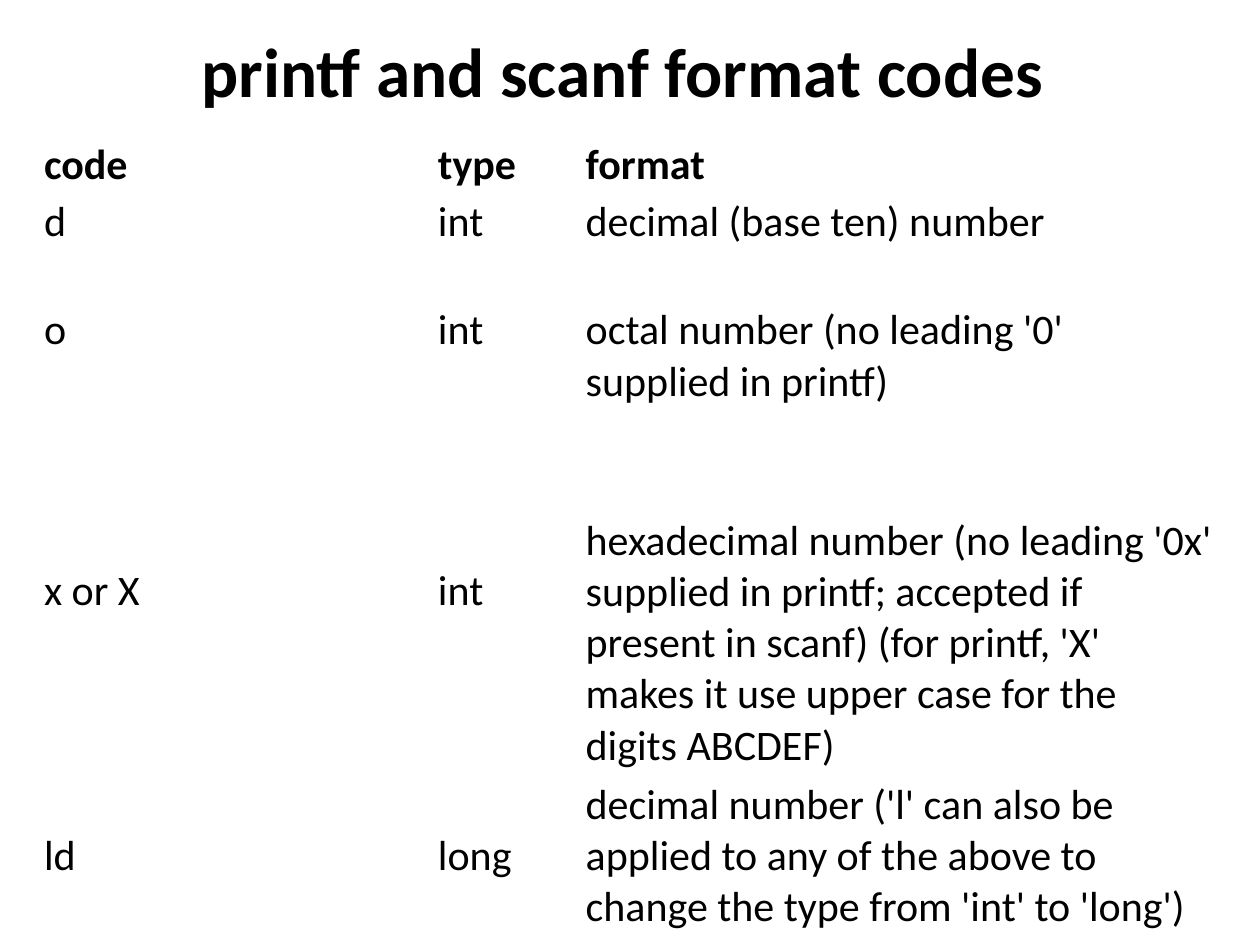
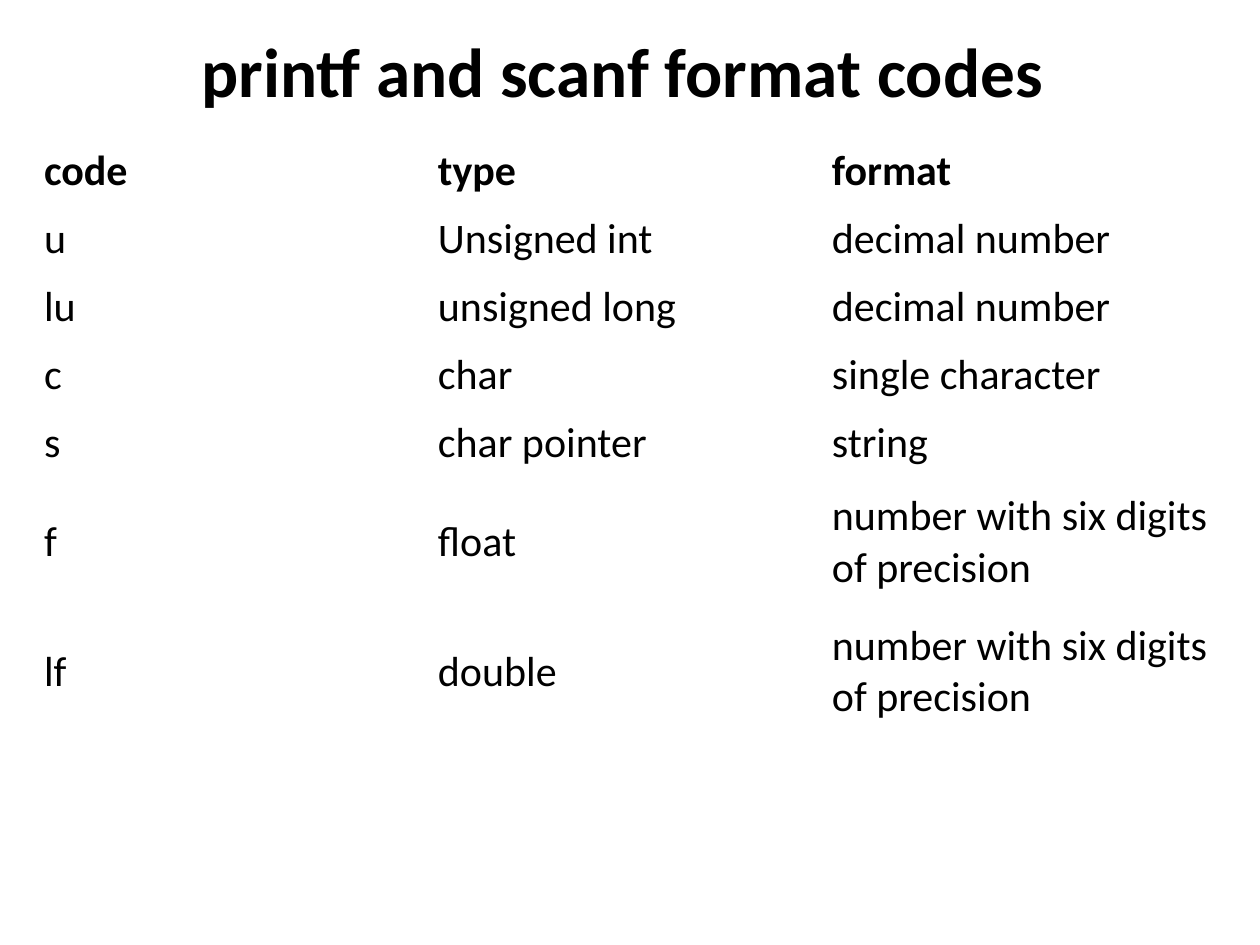
from dataclasses import dataclass

import pptx
import pptx.dml.color
import pptx.enum.text
import pptx.util

Inches = pptx.util.Inches


@dataclass(frozen=True)
class Theme:
    """Colours, type sizes and spacing shared by the slides."""
    font: str = "Calibri"
    ink: str = "000000"
    paper: str = "FFFFFF"
    title_size: float = 39.6
    table_size: float = 24
    line_height: float = 0.41
    side_margin: float = 0.04
    edge_margin: float = 0.02


@dataclass(frozen=True)
class Box:
    """A region of the slide in inches."""
    left: float
    top: float
    width: float
    height: float


THEME = Theme()
TITLE = "printf and scanf format codes"
TITLE_BOX = Box(0.19, 0.16, 9.5, 0.78)
TABLE_LEFT, TABLE_TOP, TABLE_WIDTH = 0.31, 1.09, 9.38
GRID_COLUMNS = 24
HEADER = ("code", "type", "format")

INTEGER_CODES = [
    HEADER,
    ("d", "int", "decimal (base ten) number"),
    ("o", "int", "octal number (no leading '0' supplied in printf)"),
    ("x or X", "int",
     "hexadecimal number (no leading '0x' supplied in printf; accepted if "
     "present in scanf) (for printf, 'X' makes it use upper case for the "
     "digits ABCDEF)"),
    ("ld", "long",
     "decimal number ('l' can also be applied to any of the above to change "
     "the type from 'int' to 'long')"),
]
OTHER_CODES = [
    HEADER,
    ("u", "Unsigned int", "decimal number"),
    ("lu", "unsigned long", "decimal number"),
    ("c", "char", "single character"),
    ("s", "char pointer", "string"),
    ("f", "float", "number with six digits of precision"),
    ("lf", "double", "number with six digits of precision"),
]


def style_text(para, size, bold):
    """Apply the theme font to every run of a paragraph."""
    for span in para.runs:
        span.font.name = THEME.font
        span.font.size = pptx.util.Pt(size)
        span.font.bold = bold
        span.font.color.rgb = pptx.dml.color.RGBColor.from_string(THEME.ink)


def add_title(page, box):
    """Place the centred slide title in its box."""
    shape = page.shapes.add_textbox(
        Inches(box.left), Inches(box.top), Inches(box.width), Inches(box.height))
    frame = shape.text_frame
    frame.word_wrap = True
    frame.vertical_anchor = pptx.enum.text.MSO_ANCHOR.MIDDLE
    frame.text = TITLE
    para = frame.paragraphs[0]
    para.alignment = pptx.enum.text.PP_ALIGN.CENTER
    style_text(para, THEME.title_size, True)


def fill_cell(cell, text, bold, lines_above):
    """Write one table cell, lowered by a number of text lines."""
    cell.fill.background()
    cell.vertical_anchor = pptx.enum.text.MSO_ANCHOR.MIDDLE
    cell.margin_left = cell.margin_right = Inches(THEME.side_margin)
    cell.margin_top = Inches(THEME.edge_margin + lines_above * THEME.line_height)
    cell.margin_bottom = Inches(THEME.edge_margin)
    cell.text_frame.text = text
    style_text(cell.text_frame.paragraphs[0], THEME.table_size, bold)


def add_code_table(page, box, rows, column_spans, row_heights, lines_above):
    """Place a plain table of format codes in its box."""
    table = page.shapes.add_table(
        len(rows), len(column_spans), Inches(box.left), Inches(box.top),
        Inches(box.width), Inches(box.height)).table
    table.first_row = table.horz_banding = False
    for column, span in zip(table.columns, column_spans):
        column.width = Inches(box.width * span / GRID_COLUMNS)
    for row, height in zip(table.rows, row_heights):
        row.height = Inches(height)
    for row_index, texts in enumerate(rows):
        for column_index, text in enumerate(texts):
            is_format = column_index == len(HEADER) - 1
            lowered = lines_above.get(row_index, 0) if is_format else 0
            fill_cell(table.cell(row_index, column_index), text,
                      row_index == 0, lowered)


def add_code_slide(deck, rows, column_spans, row_heights, lines_above):
    """Add a slide with the shared title and one table of codes."""
    page = deck.slides.add_slide(deck.slide_layouts[6])
    page.background.fill.solid()
    page.background.fill.fore_color.rgb = pptx.dml.color.RGBColor.from_string(
        THEME.paper)
    add_title(page, TITLE_BOX)
    box = Box(TABLE_LEFT, TABLE_TOP, TABLE_WIDTH, sum(row_heights))
    add_code_table(page, box, rows, column_spans, row_heights, lines_above)


def main():
    """Build and save the deck."""
    deck = pptx.Presentation()
    deck.slide_width, deck.slide_height = Inches(10), Inches(7.5)
    add_code_slide(deck, INTEGER_CODES, (8, 3, 13),
                   (0.45, 0.45, 1.26, 2.89, 1.31), {2: 1, 3: 2})
    add_code_slide(deck, OTHER_CODES, (8, 8, 8),
                   [0.54] * 5 + [1.03] * 2, {})
    deck.save("out.pptx")


if __name__ == "__main__":
    main()
